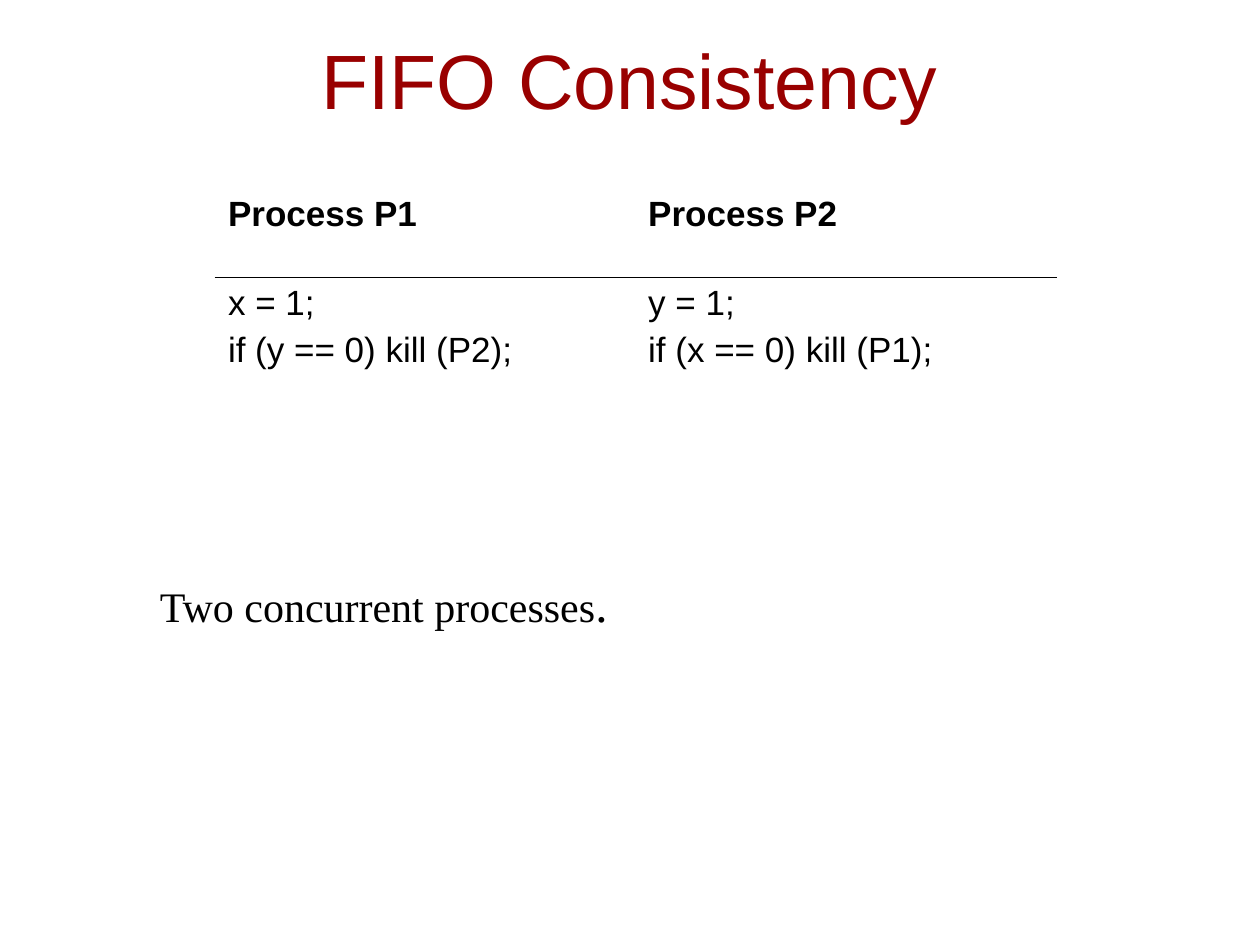
import pptx
import pptx.dml.color
import pptx.enum.text
import pptx.oxml
import pptx.oxml.ns
import pptx.util
from pptx.util import Inches, Pt

TITLE = "FIFO Consistency"
PROCESSES = [
    ("Process P1", ["x = 1;", "if (y == 0) kill (P2);"]),
    ("Process P2", ["y = 1;", "if (x == 0) kill (P1);"]),
]
CAPTION = [("Two concurrent processes", 24), (".", 28)]
COLORS = {"title": "990000", "text": "000000", "rule": "000000"}
ROW_HEIGHTS = [0.7, 2.55]
TABLE_WIDTH = 6.67
RULE_WIDTH = Pt(0.45)


def style_font(font, name, color, size=None, bold=False):
    font.name = name
    font.bold = bold
    font.color.rgb = pptx.dml.color.RGBColor.from_string(COLORS[color])
    if size:
        font.size = Pt(size)


def draw_rule(cell, edge):
    """Draw a line on one cell edge: lnT for the top, lnB for the bottom."""
    line = pptx.oxml.parse_xml(
        f'<a:{edge} {pptx.oxml.ns.nsdecls("a")} w="{int(RULE_WIDTH)}"><a:solidFill>'
        f'<a:srgbClr val="{COLORS["rule"]}"/></a:solidFill></a:{edge}>'
    )
    cell._tc.get_or_add_tcPr().insert(0, line)


def fill_cell(cell, lines, bold, edge):
    cell.fill.background()
    cell.text = "\n".join(lines)
    for paragraph in cell.text_frame.paragraphs:
        paragraph.space_before = Pt(5)
        style_font(paragraph.font, "Arial", "text", 20, bold)
    draw_rule(cell, edge)


def add_title(slide):
    title = slide.shapes.title
    title.left, title.top = Inches(0), Inches(0)
    title.width, title.height = Inches(10), Inches(1.25)
    title.text = TITLE
    title.text_frame.vertical_anchor = pptx.enum.text.MSO_ANCHOR.MIDDLE
    paragraph = title.text_frame.paragraphs[0]
    paragraph.alignment = pptx.enum.text.PP_ALIGN.CENTER
    style_font(paragraph.font, "Arial", "title", 44)


def add_caption(slide):
    caption = slide.shapes.add_textbox(
        Inches(1.17), Inches(4.5), Inches(8.08), Inches(0.92)
    )
    caption.text_frame.word_wrap = True
    paragraph = caption.text_frame.paragraphs[0]
    paragraph.space_before = Pt(7)
    style_font(paragraph.font, "Times New Roman", "text")
    for text, size in CAPTION:
        run = paragraph.add_run()
        run.text = text
        run.font.size = Pt(size)


def add_process_table(slide):
    table = slide.shapes.add_table(
        len(ROW_HEIGHTS), len(PROCESSES),
        Inches(1.71), Inches(1.5), Inches(TABLE_WIDTH), Inches(sum(ROW_HEIGHTS)),
    ).table
    table.first_row = table.horz_banding = False
    for row, height in zip(table.rows, ROW_HEIGHTS):
        row.height = Inches(height)
    for column, (heading, code) in enumerate(PROCESSES):
        fill_cell(table.cell(0, column), [heading], True, "lnB")
        fill_cell(table.cell(1, column), code, False, "lnT")


def main():
    deck = pptx.Presentation()
    deck.slide_width, deck.slide_height = Inches(10), Inches(7.5)
    slide = deck.slides.add_slide(deck.slide_layouts.get_by_name("Title Only"))
    add_title(slide)
    add_caption(slide)
    add_process_table(slide)
    deck.save("out.pptx")


if __name__ == "__main__":
    main()
